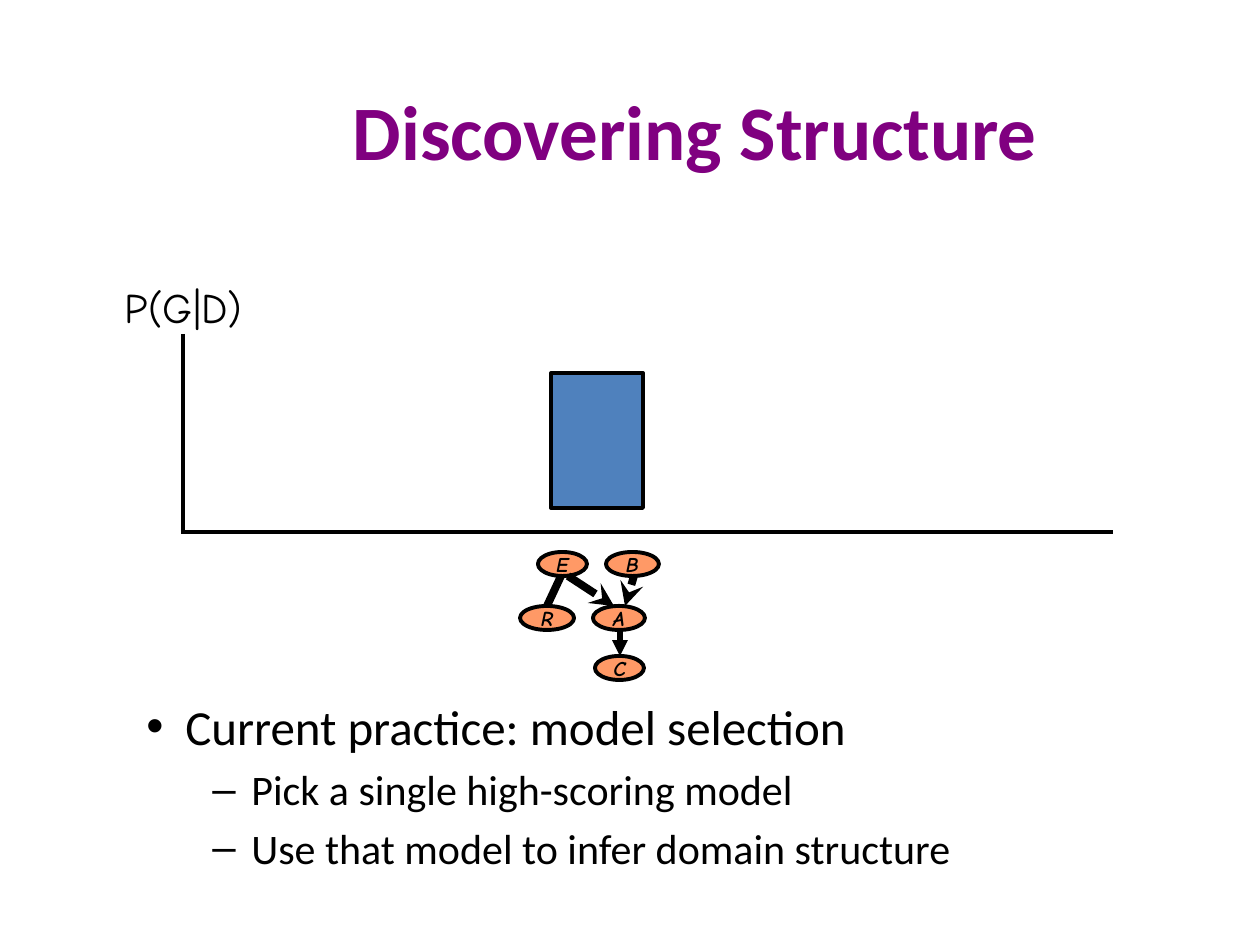
from lxml import etree
from pptx import Presentation
from pptx import util as u
from pptx.dml.color import RGBColor
from pptx.enum import shapes, text
from pptx.oxml.ns import qn

SCALE = 914400 / 126
COLORS = {"ink": "000000", "title": "800080", "node": "FF9966", "bar": "4F81BD"}
BODY, HAND = "Calibri", "Comic Neue"


def px(n):
    return u.Emu(round(n * SCALE))


def rgb(name):
    return RGBColor.from_string(COLORS[name])


class Deck:
    """Holds the style and the current slide of the deck."""

    def __init__(self, width, height):
        self.prs = Presentation()
        self.prs.slide_width, self.prs.slide_height = px(width), px(height)
        self.s = self.prs.slides.add_slide(self.prs.slide_layouts[6])

    def style(self, p, size, font, color="ink", bold=False, italic=False):
        for r in p.runs:
            f = r.font
            f.size, f.name, f.bold, f.italic = u.Pt(size), font, bold, italic
            f.color.rgb = rgb(color)

    def text(self, box, words, size, font, color="ink", bold=False, wrap=True):
        tf = self.s.shapes.add_textbox(*map(px, box)).text_frame
        tf.word_wrap = wrap
        tf.vertical_anchor = text.MSO_ANCHOR.MIDDLE
        p = tf.paragraphs[0]
        p.text, p.alignment = words, text.PP_ALIGN.CENTER
        self.style(p, size, font, color, bold)

    def bullets(self, box, items):
        tf = self.s.shapes.add_textbox(*map(px, box)).text_frame
        tf.word_wrap = True
        for i, (level, words) in enumerate(items):
            p = tf.paragraphs[0] if i == 0 else tf.add_paragraph()
            size, mark, indent = ((28, "•", 39), (24, "–", 105))[level]
            p.text, p.level = words, level
            if i:
                p.space_before = u.Pt(size * 0.2)
            pPr = p._p.get_or_add_pPr()
            pPr.set("marL", str(px(indent)))
            pPr.set("indent", str(px(-39)))
            etree.SubElement(pPr, qn("a:buFont")).set("typeface", "Arial")
            etree.SubElement(pPr, qn("a:buChar")).set("char", mark)
            self.style(p, size, BODY)

    def shape(self, kind, box, fill, label=""):
        sp = self.s.shapes.add_shape(kind, *map(px, box))
        sp.shadow.inherit = False
        sp.fill.solid()
        sp.fill.fore_color.rgb = rgb(fill)
        sp.line.color.rgb = rgb("ink")
        sp.line.width = u.Pt(2.25)
        if label:
            tf = sp.text_frame
            tf.word_wrap = False
            tf.margin_left = tf.margin_right = tf.margin_top = tf.margin_bottom = 0
            tf.vertical_anchor = text.MSO_ANCHOR.MIDDLE
            p = tf.paragraphs[0]
            p.text, p.alignment = label, text.PP_ALIGN.CENTER
            self.style(p, 12, HAND, bold=True, italic=True)

    def line(self, ends, width, head=None):
        c = self.s.shapes.add_connector(shapes.MSO_CONNECTOR.STRAIGHT, *map(px, ends))
        c.line.color.rgb = rgb("ink")
        c.line.width = u.Pt(width)
        if head:
            etree.SubElement(c.line._get_or_add_ln(), qn("a:tailEnd")).set("type", head)
        etree.SubElement(c._element.spPr, qn("a:effectLst"))


def main():
    d = Deck(1260, 945)
    d.text((159, 29, 1073, 202), "Discovering Structure", 44, BODY, "title", True)
    d.bullets((134, 690, 1071, 204), [
        (0, "Current practice: model selection"),
        (1, "Pick a single high-scoring model"),
        (1, "Use that model to infer domain structure"),
    ])

    nodes = [("E", 538, 552, 49), ("R", 520, 606, 54), ("B", 606, 552, 53),
             ("A", 593, 606, 52), ("C", 595, 656, 49)]
    for label, x, y, width in nodes:
        d.shape(shapes.MSO_SHAPE.OVAL, (x, y, width, 24), "node", label)
    edges = [((561, 576, 547, 606), 4.5, None), ((568, 576, 614, 606), 4.5, "stealth"),
             ((634, 576, 625, 606), 4.5, "stealth"), ((620, 631, 620, 656), 3, "triangle")]
    for ends, width, head in edges:
        d.line(ends, width, head)

    for axis in ((183, 334, 183, 533), (181, 532, 1113, 532)):
        d.line(axis, 2.25)
    d.text((106, 275, 155, 63), "P(G|D)", 24, HAND, wrap=False)
    d.shape(shapes.MSO_SHAPE.RECTANGLE, (551, 373, 92, 135), "bar")
    d.prs.save("out.pptx")


if __name__ == "__main__":
    main()
